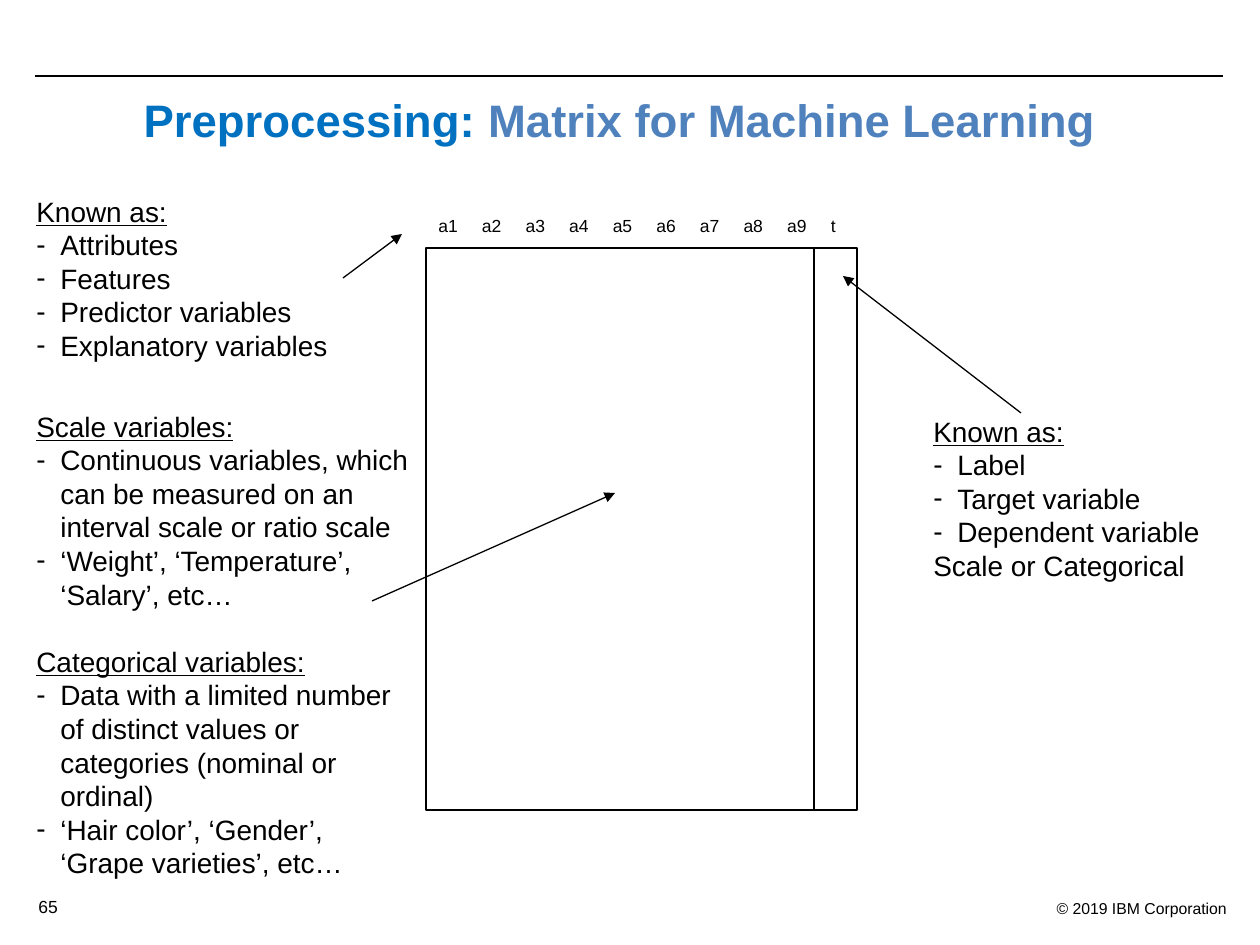
import pptx
import pptx.dml.color
import pptx.enum.shapes
import pptx.enum.text
import pptx.oxml.ns
import pptx.util
from lxml import etree

PX_PER_INCH = 126
FONT = "Arial"
BLACK, WHITE = "000000", "FFFFFF"
BLUE, SOFT_BLUE = "0070C0", "4F81BD"
ALIGN = pptx.enum.text.PP_ALIGN
LIST_LEADING = 19.2
COLUMN_PITCH = 43.6


def px(n):
    return pptx.util.Emu(round(n * 914400 / PX_PER_INCH))


def rgb(value):
    return pptx.dml.color.RGBColor.from_string(value)


def sub(parent, tag, **attrs):
    return etree.SubElement(parent, pptx.oxml.ns.qn(tag), attrs)


class SlideBuilder:
    def __init__(self, prs, layout):
        self.s = prs.slides.add_slide(layout)

    def run(self, p, text, size, color=BLACK, bold=False, underline=False):
        r = p.add_run()
        r.text = text
        f = r.font
        f.name, f.size, f.bold, f.underline = FONT, pptx.util.Pt(size), bold, underline
        f.color.rgb = rgb(color)

    def title(self, x, y, w, h, runs):
        sp = self.s.shapes.title
        sp.left, sp.top, sp.width, sp.height = px(x), px(y), px(w), px(h)
        tf = sp.text_frame
        tf.auto_size = pptx.enum.text.MSO_AUTO_SIZE.NONE
        tf.vertical_anchor = pptx.enum.text.MSO_ANCHOR.TOP
        tf.margin_left, tf.margin_top = 0, px(10)
        p = tf.paragraphs[0]
        p.alignment = ALIGN.CENTER
        for text, color in runs:
            self.run(p, text, 26, color, bold=True)

    def box(self, x, y, w, h):
        tf = self.s.shapes.add_textbox(px(x), px(y), px(w), px(h)).text_frame
        tf.word_wrap = True
        return tf

    def label(self, x, y, w, h, text, size, align=ALIGN.LEFT):
        p = self.box(x, y, w, h).paragraphs[0]
        p.alignment = align
        self.run(p, text, size)
        return p

    def column_heads(self, x, y, w, h, names):
        """One line of names, set apart by evenly spaced tab stops."""
        p = self.label(x, y, w, h, "\t".join(names), 10)
        tabs = sub(p._p.get_or_add_pPr(), "a:tabLst")
        for i in range(1, len(names)):
            sub(tabs, "a:tab", pos=str(px(COLUMN_PITCH * i)), algn="l")

    def dash_list(self, x, y, w, h, lines):
        """Lines starting with '- ' get a dash, those ending in ':' are headings."""
        tf = self.box(x, y, w, h)
        for i, line in enumerate(lines):
            p = tf.add_paragraph() if i else tf.paragraphs[0]
            heading = line.endswith(":")
            if line.startswith("- "):
                pPr = p._p.get_or_add_pPr()
                pPr.set("marL", str(px(24)))
                pPr.set("indent", str(px(-24)))
                sub(pPr, "a:buFont", typeface=FONT)
                sub(pPr, "a:buChar", char="-")
            p.line_spacing = pptx.util.Pt(LIST_LEADING)
            if heading and i:
                p.space_before = pptx.util.Pt(LIST_LEADING)
            self.run(p, line.removeprefix("- "), 16, underline=heading)

    def rect(self, x, y, w, h):
        sp = self.s.shapes.add_shape(
            pptx.enum.shapes.MSO_SHAPE.RECTANGLE, px(x), px(y), px(w), px(h))
        sp.shadow.inherit = False
        sp.fill.solid()
        sp.fill.fore_color.rgb = rgb(WHITE)
        self.stroke(sp.line)

    def stroke(self, line):
        line.color.rgb = rgb(BLACK)
        line.width = pptx.util.Pt(0.75)

    def line(self, x1, y1, x2, y2, arrow=False):
        c = self.s.shapes.add_connector(
            pptx.enum.shapes.MSO_CONNECTOR.STRAIGHT, px(x1), px(y1), px(x2), px(y2))
        self.stroke(c.line)
        spPr = c._element.spPr
        if arrow:
            sub(spPr.find(pptx.oxml.ns.qn("a:ln")), "a:tailEnd", type="triangle")
        sub(spPr, "a:effectLst")


def main():
    prs = pptx.Presentation()
    prs.slide_width, prs.slide_height = px(1260), px(945)
    s = SlideBuilder(prs, prs.slide_layouts.get_by_name("Title Only"))

    s.line(35, 76, 1223, 76)
    s.label(818, 893, 421, 32, "© 2019 IBM Corporation", 9, ALIGN.RIGHT)
    s.label(26, 890, 76, 34, "65", 10)
    s.title(37, 82, 1178, 59, [("Preprocessing: ", BLUE),
                               ("Matrix for Machine Learning", SOFT_BLUE)])

    # Matrix: attribute columns plus the target column
    s.rect(426, 248, 431, 562)
    s.line(814, 248, 814, 810)
    s.column_heads(426, 209, 431, 34, [f"a{i}" for i in range(1, 10)] + ["t"])

    s.dash_list(921, 408, 328, 183, [
        "Known as:", "- Label", "- Target variable", "- Dependent variable",
        "Scale or Categorical"])
    s.dash_list(24, 188, 319, 183, [
        "Known as:", "- Attributes", "- Features", "- Predictor variables",
        "- Explanatory variables"])
    s.dash_list(24, 403, 402, 488, [
        "Scale variables:",
        "- Continuous variables, which can be measured on an interval scale or ratio scale",
        "- ‘Weight’, ‘Temperature’, ‘Salary’, etc…",
        "Categorical variables:",
        "- Data with a limited number of distinct values or categories (nominal or ordinal)",
        "- ‘Hair color’, ‘Gender’, ‘Grape varieties’, etc…"])

    for ends in [(1021, 413, 843, 276), (343, 278, 402, 234), (372, 601, 615, 493)]:
        s.line(*ends, arrow=True)

    prs.save("out.pptx")


if __name__ == "__main__":
    main()
